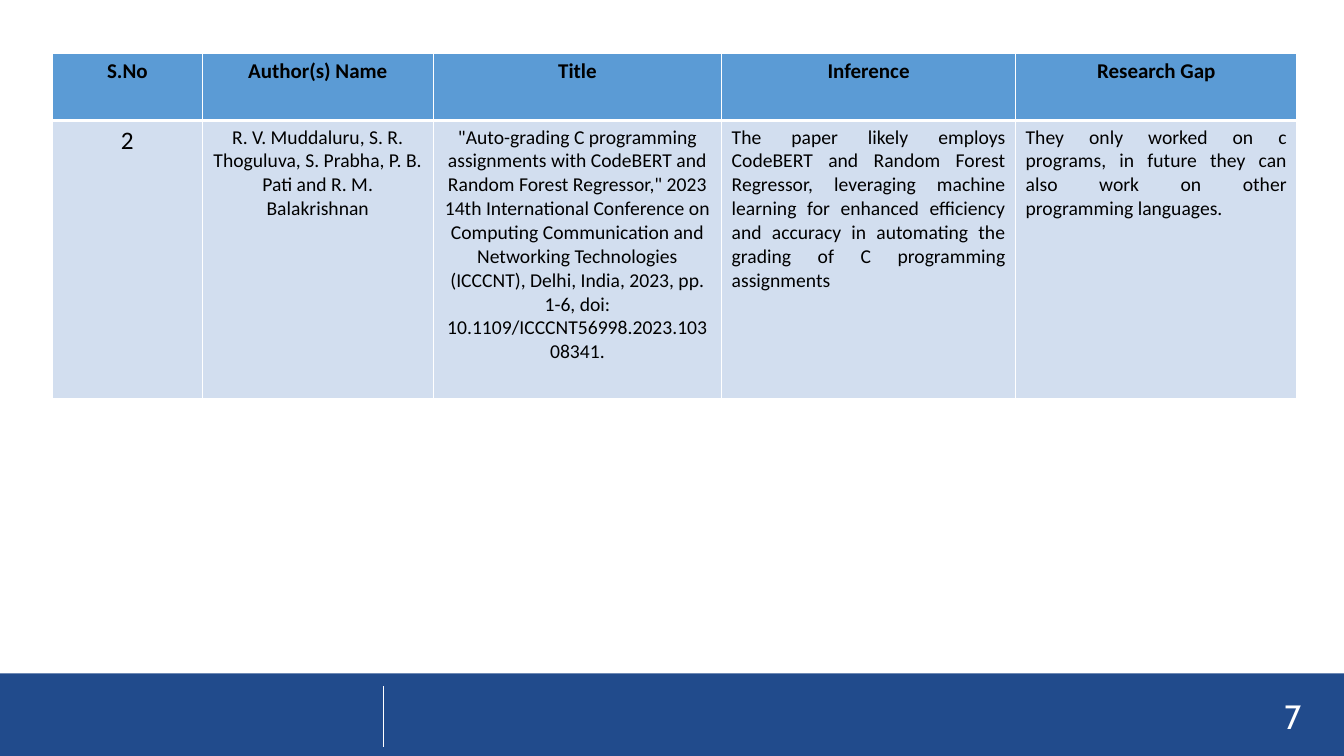
from lxml import etree
from pptx import Presentation
from pptx.dml.color import RGBColor
from pptx.enum.shapes import MSO_CONNECTOR, MSO_SHAPE
from pptx.enum.text import MSO_ANCHOR, PP_ALIGN
from pptx.oxml.ns import qn
from pptx.util import Pt

RECT = MSO_SHAPE.RECTANGLE
STRAIGHT = MSO_CONNECTOR.STRAIGHT
MIDDLE = MSO_ANCHOR.MIDDLE
CENTER, RIGHT, JUSTIFY = PP_ALIGN.CENTER, PP_ALIGN.RIGHT, PP_ALIGN.JUSTIFY

WHITE = RGBColor(0xFF, 0xFF, 0xFF)
BLACK = RGBColor(0x00, 0x00, 0x00)
NAVY = RGBColor(0x21, 0x4B, 0x8C)
HEADER_BLUE = RGBColor(0x5B, 0x9B, 0xD5)
BODY_BLUE = RGBColor(0xD2, 0xDE, 0xEF)

COL_WIDTHS = (107, 165, 206, 210, 201)
ROW_HEIGHTS = (48, 199)
HEADERS = ("S.No", "Author(s) Name", "Title", "Inference", "Research Gap")
PAPER = (
    ("2", 18, CENTER),
    ("R. V. Muddaluru, S. R. Thoguluva, S. Prabha, P. B. Pati and "
     "R. M. Balakrishnan", 14, CENTER),
    ('"Auto-grading C programming assignments with CodeBERT and Random Forest '
     'Regressor," 2023 14th International Conference on Computing '
     'Communication and Networking Technologies (ICCCNT), Delhi, India, 2023, '
     'pp. 1-6, doi: 10.1109/ICCCNT56998.2023.10308341.', 14, CENTER),
    ("The paper likely employs CodeBERT and Random Forest Regressor, "
     "leveraging machine learning for enhanced efficiency and accuracy in "
     "automating the grading of C programming assignments", 14, JUSTIFY),
    ("They only worked on c programs, in future they can also work on other "
     "programming languages.", 14, JUSTIFY),
)


def set_text(tf, text, size, font, color, align, bold=False):
    """Write one formatted paragraph into a text frame."""
    tf.text = text
    p = tf.paragraphs[0]
    p.alignment = align
    f = p.runs[0].font
    f.size, f.name, f.bold = Pt(size), font, bold
    f.color.rgb = color


def set_borders(cell, top, bottom):
    """Give a cell white borders, with one-point sides."""
    tc_pr = cell._tc.get_or_add_tcPr()
    edges = (("a:lnL", 1), ("a:lnR", 1), ("a:lnT", top), ("a:lnB", bottom))
    for i, (tag, width) in enumerate(edges):
        ln = etree.Element(qn(tag), w=str(Pt(width)))
        fill = etree.SubElement(ln, qn("a:solidFill"))
        etree.SubElement(fill, qn("a:srgbClr"), val=str(WHITE))
        tc_pr.insert(i, ln)


def fill_cell(cell, text, size, align, fill, bold, top, bottom):
    """Set the text, fill and borders of a table cell."""
    set_text(cell.text_frame, text, size, "Calibri", BLACK, align, bold)
    cell.fill.solid()
    cell.fill.fore_color.rgb = fill
    set_borders(cell, top, bottom)


def add_paper_table(s, left, top):
    """Add the literature table with its header and one paper."""
    table = s.shapes.add_table(
        len(ROW_HEIGHTS), len(COL_WIDTHS), Pt(left), Pt(top),
        Pt(sum(COL_WIDTHS)), Pt(sum(ROW_HEIGHTS))).table
    for col, width in zip(table.columns, COL_WIDTHS):
        col.width = Pt(width)
    for row, height in zip(table.rows, ROW_HEIGHTS):
        row.height = Pt(height)
    for i, (header, (text, size, align)) in enumerate(zip(HEADERS, PAPER)):
        fill_cell(table.cell(0, i), header, 15, CENTER, HEADER_BLUE, True, 1, 3)
        fill_cell(table.cell(1, i), text, size, align, BODY_BLUE, False, 3, 1)


def add_bar(s, left, top, width, height):
    """Add the plain footer bar."""
    sp = s.shapes.add_shape(RECT, Pt(left), Pt(top), Pt(width), Pt(height))
    sp.shadow.inherit = False
    sp.fill.solid()
    sp.fill.fore_color.rgb = NAVY
    sp.line.fill.background()


def add_divider(s, x, top, bottom):
    """Add a thin white vertical line."""
    line = s.shapes.add_connector(STRAIGHT, Pt(x), Pt(top), Pt(x), Pt(bottom))
    line.line.color.rgb = WHITE
    line.line.width = Pt(0.5)
    etree.SubElement(line._element.spPr, qn("a:effectLst"))


def add_page_number(s, text, left, top, width, height):
    """Add the right-aligned page number."""
    tf = s.shapes.add_textbox(
        Pt(left), Pt(top), Pt(width), Pt(height)).text_frame
    tf.word_wrap = True
    tf.vertical_anchor = MIDDLE
    set_text(tf, text, 24, "Cabin", WHITE, RIGHT)


def main():
    """Build the slide and save it."""
    prs = Presentation()
    prs.slide_width, prs.slide_height = Pt(960), Pt(540)
    s = prs.slides.add_slide(prs.slide_layouts[6])
    add_bar(s, 0, 481, 960, 59)
    add_divider(s, 273.5, 490, 533.5)
    add_page_number(s, "7", 818.5, 497, 118, 29)
    add_paper_table(s, 37.5, 38)
    prs.save("out.pptx")


if __name__ == "__main__":
    main()
